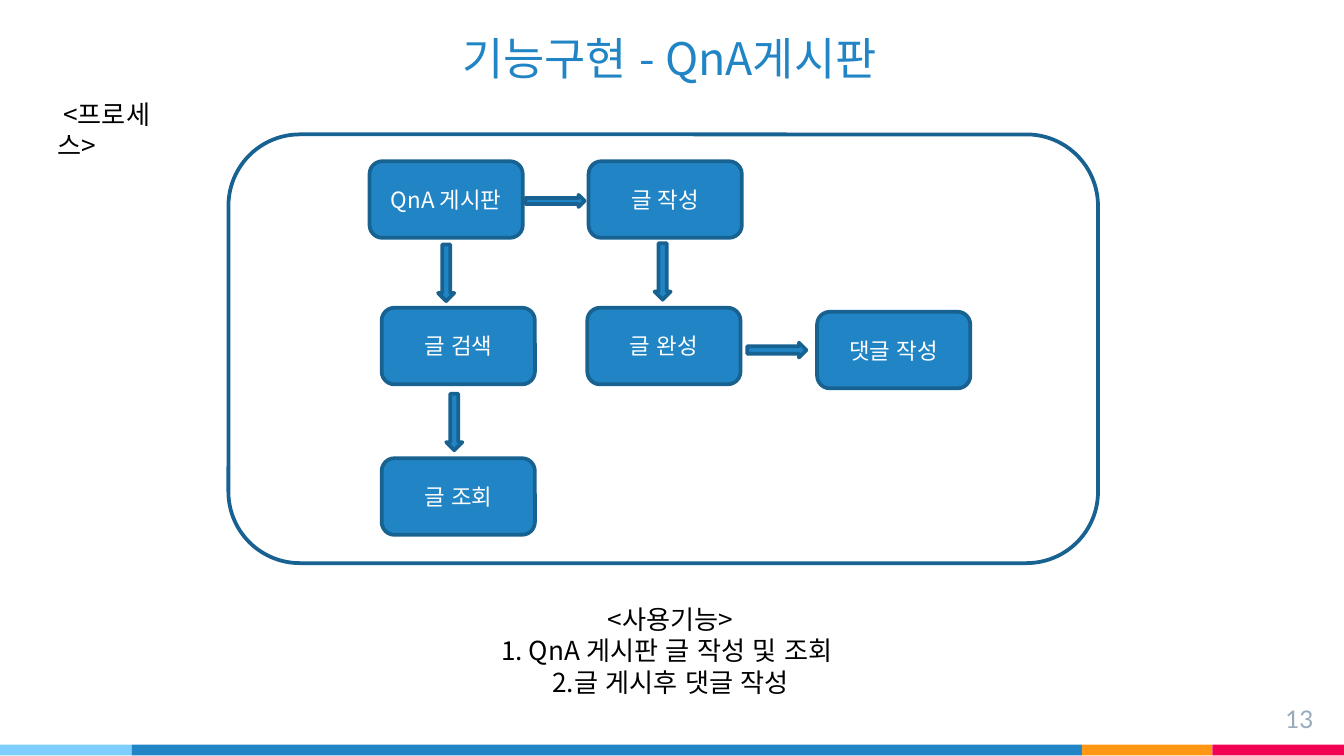
"""Build the QnA board process slide."""
from lxml.etree import SubElement
from pptx import Presentation
from pptx.dml.color import RGBColor
from pptx.enum.lang import MSO_LANGUAGE_ID as LANG
from pptx.enum.shapes import MSO_SHAPE as SHAPE
from pptx.enum.text import MSO_ANCHOR as ANCHOR, PP_ALIGN as ALIGN
from pptx.oxml.ns import qn
from pptx.util import Inches, Pt

BLUE = RGBColor(0x21, 0x85, 0xC5)
NAVY = RGBColor(0x18, 0x62, 0x92)
SKY = RGBColor(0x7E, 0xCE, 0xFD)
ORANGE = RGBColor(0xFF, 0x97, 0x15)
PINK = RGBColor(0xF2, 0x02, 0x53)
GRAY = RGBColor(0x97, 0xAB, 0xBC)
BLACK = RGBColor(0, 0, 0)
WHITE = RGBColor(0xFF, 0xFF, 0xFF)
KOREAN = "Noto Sans CJK KR"


def write(sp, lines, size, color, align=ALIGN.CENTER, anchor=ANCHOR.TOP, font=KOREAN):
    tf = sp.text_frame
    tf.word_wrap = True
    tf.vertical_anchor = anchor
    tf.text = "\n".join(lines)
    for p in tf.paragraphs:
        p.alignment = align
        p.line_spacing = Pt(size * 1.2)
        p.space_before = Pt(0)
        pPr = p._p.get_or_add_pPr()
        pPr.set("marL", "0")
        pPr.set("indent", "0")
        SubElement(pPr, qn("a:buNone"))
        for r in p.runs:
            r.font.name = font
            r.font.size = Pt(size)
            r.font.color.rgb = color
            r.font.language_id = LANG.KOREAN
            SubElement(r._r.get_or_add_rPr(), qn("a:ea")).set("typeface", font)


def add_shape(kind, left, top, width, height, fill=None, line=None):
    sp = s.shapes.add_shape(kind, Inches(left), Inches(top), Inches(width), Inches(height))
    sp.shadow.inherit = False
    if fill is None:
        sp.fill.background()
    else:
        sp.fill.solid()
        sp.fill.fore_color.rgb = fill
    if line is None:
        sp.line.fill.background()
    else:
        sp.line.color.rgb = line
        sp.line.width = Pt(2)
    return sp


prs = Presentation()
prs.slide_width = Inches(10)
prs.slide_height = Inches(10 * 9 / 16)
s = prs.slides.add_slide(prs.slide_layouts[1])

title, body = s.placeholders
for sp, left, top, width, height in ((title, -0.02, 0.18, 10, 0.5), (body, 0, 4.44, 9.98, 0.81)):
    sp.left, sp.top, sp.width, sp.height = Inches(left), Inches(top), Inches(width), Inches(height)
write(title, ["기능구현 - QnA게시판"], 24, BLUE)
write(body, ["<사용기능>", "1. QnA 게시판 글 작성 및 조회 ", "2.글 게시후 댓글 작성"], 14, BLACK)

left = 0
for width, color in ((0.98, SKY), (7.07, BLUE), (0.97, ORANGE), (0.98, PINK)):
    add_shape(SHAPE.RECTANGLE, left, 5.54, width, 0.08, color)
    left += width

number = s.shapes.add_textbox(Inches(9.27), Inches(5.14), Inches(0.6), Inches(0.34))
tf = number.text_frame
tf.margin_left = tf.margin_right = tf.margin_top = tf.margin_bottom = Inches(0.1)
write(number, ["13"], 13, GRAY, ALIGN.RIGHT, font="Lato")

label = s.shapes.add_textbox(Inches(0.33), Inches(0.68), Inches(1.16), Inches(0.34))
label.text_frame.margin_right = Inches(0.18)
write(label, [" <프로세스>"], 14, BLACK, ALIGN.LEFT)

add_shape(SHAPE.ROUNDED_RECTANGLE, 1.7, 1, 6.47, 3.19, line=NAVY)

steps = (
    ("QnA 게시판", 2.75, 1.2),
    ("글 작성", 4.38, 1.2),
    ("글 검색", 2.84, 2.29),
    ("글 완성", 4.37, 2.29),
    ("댓글 작성", 6.08, 2.32),
    ("글 조회", 2.84, 3.41),
)
for text, left, top in steps:
    step = add_shape(SHAPE.ROUNDED_RECTANGLE, left, top, 1.14, 0.57, BLUE, NAVY)
    write(step, [text], 12, WHITE, anchor=ANCHOR.MIDDLE)

arrows = (
    (3.91, 1.45, 0.44, 0.09, 0),
    (5.56, 2.55, 0.44, 0.11, 0),
    (3.11, 1.97, 0.42, 0.12, 90),
    (4.72, 1.96, 0.42, 0.12, 90),
    (3.17, 3.08, 0.42, 0.12, 90),
)
for left, top, width, height, angle in arrows:
    arrow = add_shape(SHAPE.RIGHT_ARROW, left, top, width, height, BLUE, NAVY)
    arrow.rotation = angle

prs.save("out.pptx")
